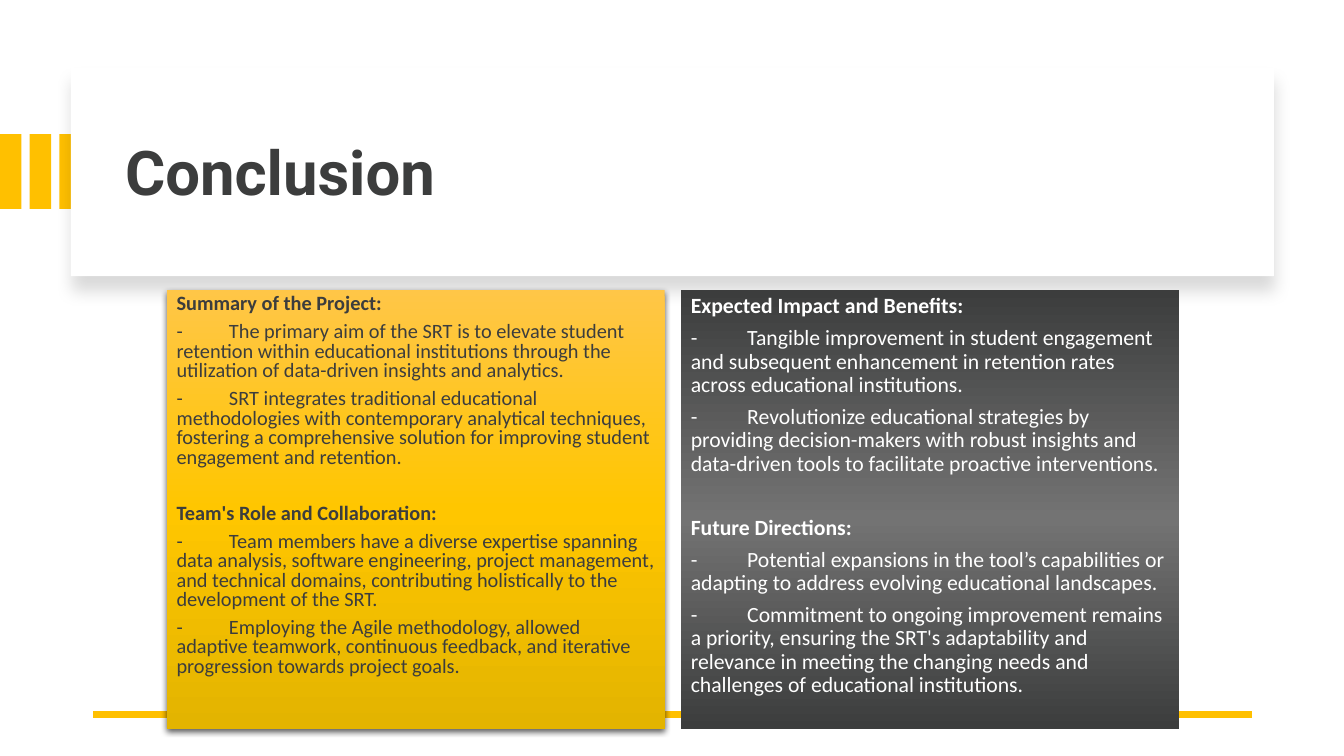
from dataclasses import dataclass

import lxml.etree
import pptx
import pptx.dml.color
import pptx.enum.shapes
import pptx.enum.text
import pptx.oxml.ns
import pptx.util

SLIDE_WIDTH = pptx.util.Inches(13.33)
SLIDE_HEIGHT = pptx.util.Inches(7.5)
RECTANGLE = pptx.enum.shapes.MSO_SHAPE.RECTANGLE


@dataclass(frozen=True)
class Theme:
    """Colours, fonts and type sizes of the slide."""
    accent: str = "FFC000"
    dark: str = "3C3D3D"
    white: str = "FFFFFF"
    black: str = "000000"
    title_font: str = "Roboto"
    body_font: str = "Calibri"
    title_size: float = 44
    paragraph_gap: float = 6
    line_weight: float = 4.5


THEME = Theme()


@dataclass(frozen=True)
class Panel:
    """Look and wording of one text panel, with the gap before its second section."""
    stops: tuple
    angle: int
    color: str
    size: float
    line_spacing: float
    section_gap: float
    tab: float
    sections: tuple
    shadow: tuple = ()


SUMMARY = Panel(
    stops=((0, "FFC647"), (50, "FFC600"), (100, "E3B400")), angle=270,
    color=THEME.dark, size=14.5, line_spacing=0.8, section_gap=26.2, tab=0.52,
    shadow=(63, 4.5, 1.5),
    sections=(
        ("Summary of the Project:", (
            "The primary aim of the SRT is to elevate student retention within educational "
            "institutions through the utilization of data-driven insights and analytics.",
            "SRT integrates traditional educational methodologies with contemporary analytical "
            "techniques, fostering a comprehensive solution for improving student engagement "
            "and retention.")),
        ("Team's Role and Collaboration:", (
            "Team members have a diverse expertise spanning data analysis, software engineering, "
            "project management, and technical domains, contributing holistically to the "
            "development of the SRT.",
            "Employing the Agile methodology, allowed adaptive teamwork, continuous feedback, "
            "and iterative progression towards project goals.")),
    ))

IMPACT = Panel(
    stops=((0, THEME.dark), (48, "737373"), (100, THEME.dark)), angle=90,
    color=THEME.white, size=15.5, line_spacing=0.9, section_gap=29, tab=0.56,
    sections=(
        ("Expected Impact and Benefits:", (
            "Tangible improvement in student engagement and subsequent enhancement in retention "
            "rates across educational institutions.",
            "Revolutionize educational strategies by providing decision-makers with robust "
            "insights and data-driven tools to facilitate proactive interventions.")),
        ("Future Directions:", (
            "Potential expansions in the tool’s capabilities or adapting to address evolving "
            "educational landscapes.",
            "Commitment to ongoing improvement remains a priority, ensuring the SRT's "
            "adaptability and relevance in meeting the changing needs and challenges of "
            "educational institutions.")),
    ))


def across(percent):
    """Return a share of the slide's width."""
    return int(SLIDE_WIDTH * percent / 100)


def down(percent):
    """Return a share of the slide's height."""
    return int(SLIDE_HEIGHT * percent / 100)


def frame(left, top, width, height):
    """Turn shares of the slide into a position and size."""
    return across(left), down(top), across(width), down(height)


def rgb(color):
    """Turn a hex string into a colour."""
    return pptx.dml.color.RGBColor.from_string(color)


def add_node(parent, tag, **attributes):
    """Append a drawing element to a parent."""
    node = lxml.etree.SubElement(parent, pptx.oxml.ns.qn(tag))
    for name, value in attributes.items():
        node.set(name, str(value))
    return node


def add_rectangle(shapes, place, color):
    """Add a plain filled rectangle without line or shadow."""
    box = shapes.add_shape(RECTANGLE, *place)
    box.fill.solid()
    box.fill.fore_color.rgb = rgb(color)
    box.line.fill.background()
    box.shadow.inherit = False
    return box


def cast_shadow(box, opacity, blur, distance):
    """Give a box a shadow that falls straight down."""
    effects = box._element.spPr.find(pptx.oxml.ns.qn("a:effectLst"))
    shadow = add_node(effects, "a:outerShdw", blurRad=pptx.util.Pt(blur),
                      dist=pptx.util.Pt(distance), dir=5400000, algn="t", rotWithShape=0)
    color = add_node(shadow, "a:srgbClr", val=THEME.black)
    add_node(color, "a:alpha", val=opacity * 1000)


def shade(box, stops, angle):
    """Fill a box with a linear gradient of any number of stops."""
    box.fill.gradient()
    box.fill.gradient_angle = angle
    stop_list = box._element.spPr.find(".//" + pptx.oxml.ns.qn("a:gsLst"))
    for old_stop in list(stop_list):
        stop_list.remove(old_stop)
    for position, color in stops:
        stop = add_node(stop_list, "a:gs", pos=position * 1000)
        add_node(stop, "a:srgbClr", val=color)


def style_paragraph(para, font, size, color, bold, line_spacing):
    """Format a paragraph and its runs, aligned left."""
    para.alignment = pptx.enum.text.PP_ALIGN.LEFT
    para.line_spacing = line_spacing
    for span in para.runs:
        span.font.name = font
        span.font.size = pptx.util.Pt(size)
        span.font.color.rgb = rgb(color)
        span.font.bold = bold


def add_panel(slide, place, panel):
    """Add a gradient panel with headed lists of dashed points."""
    box = add_rectangle(slide.shapes, place, panel.color)
    shade(box, panel.stops, panel.angle)
    if panel.shadow:
        cast_shadow(box, *panel.shadow)
    lines = []
    for number, (heading, points) in enumerate(panel.sections):
        lines.append((heading, True, panel.section_gap if number else 0))
        lines += [("-\t" + point, False, THEME.paragraph_gap) for point in points]
    text_frame = box.text_frame
    text_frame.word_wrap = True
    text_frame.vertical_anchor = pptx.enum.text.MSO_ANCHOR.TOP
    text_frame.text = "\n".join(text for text, _, _ in lines)
    for para, (_, bold, gap) in zip(text_frame.paragraphs, lines):
        if not bold:
            tabs = add_node(para._p.get_or_add_pPr(), "a:tabLst")
            add_node(tabs, "a:tab", pos=pptx.util.Inches(panel.tab), algn="l")
        if gap:
            para.space_before = pptx.util.Pt(gap)
        style_paragraph(para, THEME.body_font, panel.size, panel.color, bold,
                        panel.line_spacing)


def set_title(slide, place, text):
    """Place and format the title in front of the shapes drawn so far."""
    title = slide.shapes.title
    slide.shapes._spTree.append(title._element)
    title.left, title.top, title.width, title.height = place
    title.text_frame.text = text
    title.text_frame.vertical_anchor = pptx.enum.text.MSO_ANCHOR.MIDDLE
    style_paragraph(title.text_frame.paragraphs[0], THEME.title_font, THEME.title_size,
                    THEME.dark, True, 0.9)


def add_rule(slide, start, end, top):
    """Add a horizontal accent line."""
    rule = slide.shapes.add_connector(pptx.enum.shapes.MSO_CONNECTOR.STRAIGHT,
                                      across(start), down(top), across(end), down(top))
    rule.line.color.rgb = rgb(THEME.accent)
    rule.line.width = pptx.util.Pt(THEME.line_weight)
    add_node(rule._element.spPr, "a:effectLst")


def main():
    """Build and save the conclusion slide."""
    deck = pptx.Presentation()
    deck.slide_width, deck.slide_height = SLIDE_WIDTH, SLIDE_HEIGHT
    slide = deck.slides.add_slide(deck.slide_layouts[5])
    stripes = slide.shapes.add_group_shape()
    for column in range(3):
        add_rectangle(stripes.shapes, frame(column * 2.21, 17.75, 1.6, 9.9), THEME.accent)
    card = add_rectangle(slide.shapes, frame(5.28, 8.93, 89.5, 27.6), THEME.white)
    cast_shadow(card, 15, 11, 10)
    set_title(slide, frame(8.55, 11.87, 83.5, 22.67), "Conclusion")
    add_rule(slide, 93.17, 6.9, 94.53)
    for column, panel in enumerate((SUMMARY, IMPACT)):
        add_panel(slide, frame(12.4 + column * 38.26, 38.4, 37.06, 58), panel)
    deck.save("out.pptx")


if __name__ == "__main__":
    main()
